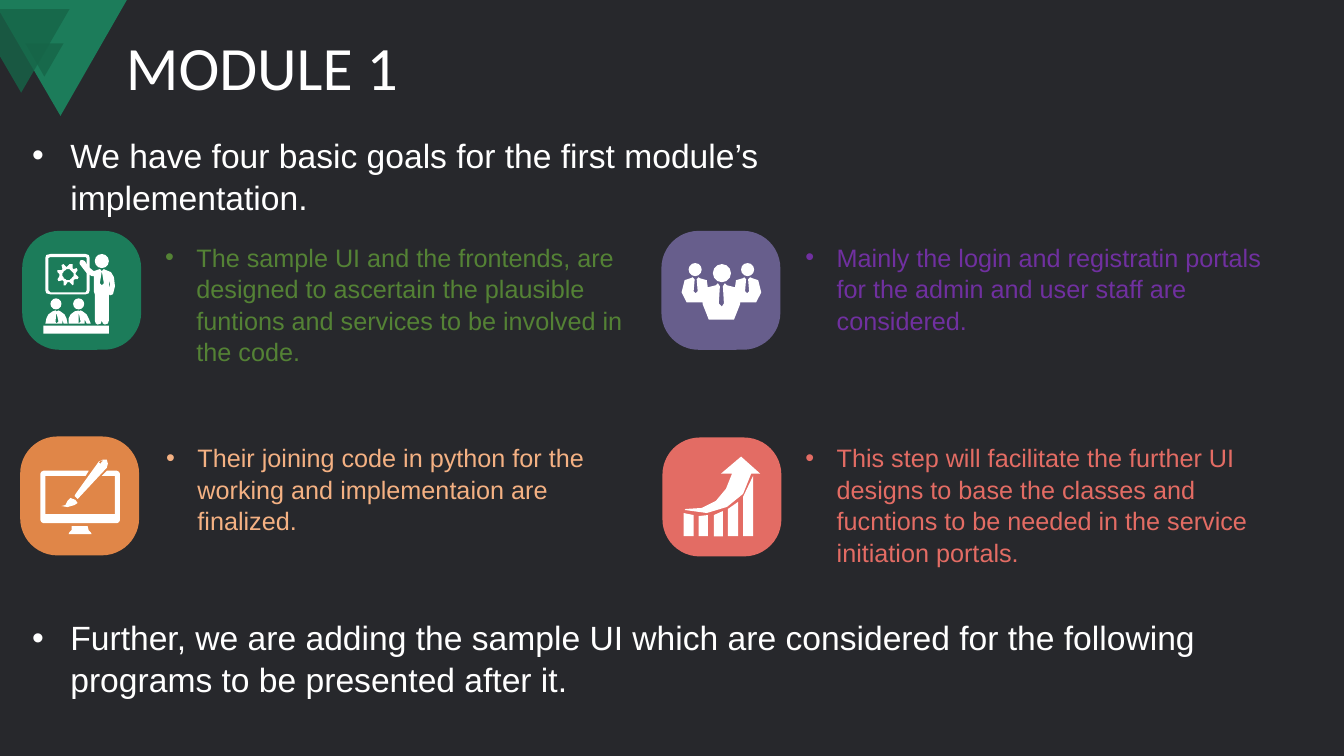
from math import cos, pi, sin

from lxml.etree import SubElement
from pptx import Presentation
from pptx.dml.color import RGBColor
from pptx.enum.shapes import MSO_SHAPE as SHAPE
from pptx.enum.text import MSO_ANCHOR as ANCHOR, MSO_AUTO_SIZE as AUTO
from pptx.oxml.ns import qn
from pptx.util import Emu, Inches, Pt

BACKGROUND, WHITE, GREEN, DARK_GREEN = "27282C", "FFFFFF", "1C7C5A", "166548"
UNIT = 9144
TILE = 118

TITLE = "MODULE 1"
BULLETS = [
    (22, 127, 984, 91, 24, WHITE, "We have four basic goals for the first module’s implementation."),
    (154, 234, 489, 161, 18, "548235", "The sample UI and the frontends, are designed to ascertain the plausible "
     "funtions and services to be involved in the code."),
    (789, 234, 501, 131, 18, "7030A0", "Mainly the login and registratin portals for the admin and user staff "
     "are considered."),
    (155, 433, 489, 131, 18, "F4B183", "Their joining code in python for the working and implementaion are finalized."),
    (789, 433, 503, 161, 18, "E36C64", "This step will facilitate the further UI designs to base the classes and "
     "fucntions to be needed in the service initiation portals."),
    (22, 606, 1290, 131, 24, WHITE, "Further, we are adding the sample UI which are considered for the following "
     "programs to be presented after it."),
]

CORNER = [(0, -2), (127, -2), (60, 115), (0, 12)]
CORNER_OVERLAY = [(0, 9), (69, 9), (21, 92), (0, 56)]

TEAM_HEADS = [(707, 262, 18), (683, 261, 13), (735, 261, 13)]
TEAM_HALF = [(728, 317), (734, 302), (734, 300), (750, 300), (755, 290), (752, 278), (746, 276), (744, 275),
             (742, 277), (743, 289), (741, 291), (739, 289), (740, 277), (738, 275), (737, 276), (730, 278),
             (729, 285), (721, 283), (719, 281), (717, 284), (718, 301), (715.5, 304)]
TEAM_AXIS = 715.5

GROWTH_ARROW = [(754, 470), (735, 453), (715, 470), (726, 470), (720, 485), (710, 497), (696, 504), (680, 505),
                (679, 506), (701, 509), (721, 503), (737, 490), (745, 470)]
BAR_TOPS = [(509, 511), (512, 511), (511, 507), (505, 498), (493, 472)]
BAR_LEFT, BAR_STEP, BAR_WIDTH, BAR_BOTTOM = 678, 14.8, 9.7, 532

MONITOR = [(116, 467), (106, 467), (101, 472), (114, 472), (114, 510), (45, 510), (45, 472), (85, 472), (88, 467),
           (43, 467), (41, 468), (40, 470), (40, 516), (41, 518), (43, 519), (116, 519), (118, 518), (119, 516),
           (119, 470), (118, 468)]
STAND = [(90, 528), (88, 526), (87, 522), (71, 522), (71, 526), (69, 528), (68, 530), (91, 530)]
BRISTLES = [(61, 502), (65, 501), (67, 497), (70, 494), (75, 496), (77, 499), (74, 501), (67, 503)]
HANDLE = [(106, 456), (102, 456), (98, 458), (75, 490), (74, 492), (77, 495), (79, 493), (106, 464), (107, 460)]
HANDLE_GLINT = [(100, 460), (98, 459), (100, 457), (103, 457), (101, 458)]

TEACHER = [(105, 268), (103, 267), (101, 269), (99, 267), (96, 268), (93, 269), (88, 265), (84, 259), (82, 258),
           (80, 258), (79, 260), (79, 262), (82, 266), (86, 271), (91, 274), (93, 274), (93, 289), (94, 292),
           (94, 318), (95, 321), (97, 322), (100, 321), (101, 318), (101, 295), (101, 318), (102, 321), (104, 322),
           (107, 321), (108, 318), (108, 292), (109, 293), (112, 292), (114.5, 284), (113, 275), (110, 270)]
TEACHER_TIE = [(101, 283), (99, 281), (101, 269), (103, 281)]
TEACHER_ARM_GAP = [(108, 286), (108, 278), (109, 282)]
BOARD = [(85, 292), (50, 292), (46, 291), (45, 288), (45, 256), (46, 253), (50, 252), (85, 252), (88, 253),
         (89, 256), (89, 288), (88, 291)]
BOARD_FACE = [(50, 255), (48, 256), (48, 288), (50, 290), (85, 290), (86, 288), (86, 256), (85, 255)]
STUDENT = [(50, 321), (50, 317), (50, 321), (56, 321), (55, 319), (56, 310), (58, 319), (56, 321), (62, 321),
           (62, 317), (63, 321), (67, 321), (66, 316), (64, 312), (60, 309), (58, 308), (56, 309), (55, 308),
           (52, 309), (48, 312), (46, 316), (45, 321)]
STUDENT_SHIFTS = [0, 22.5]
GEAR_CENTER, GEAR_TEETH = (67.3, 272.5), 8


def color(value):
    return RGBColor.from_string(value)


def paint(sp, fill, alpha=None):
    sp.shadow.inherit = False
    sp.fill.solid()
    sp.fill.fore_color.rgb = color(fill)
    sp.line.fill.background()
    if alpha:
        rgb = sp.fill._xPr.find(qn("a:solidFill"))[0]
        SubElement(rgb, qn("a:alpha")).set("val", str(alpha * 1000))
    return sp


def box(shapes, kind, x, y, w, h, fill=WHITE, alpha=None):
    return paint(shapes.add_shape(kind, *(Emu(int(v * UNIT)) for v in (x, y, w, h))), fill, alpha)


def outline(shapes, *contours, fill=WHITE, alpha=None):
    first, *holes = contours
    builder = shapes.build_freeform(*first[0], scale=UNIT)
    builder.add_line_segments(first[1:], close=True)
    for hole in holes:
        builder.move_to(*hole[0])
        builder.add_line_segments(hole[1:], close=True)
    return paint(builder.convert_to_shape(), fill, alpha)


def tile(shapes, x, y, fill):
    box(shapes, SHAPE.ROUNDED_RECTANGLE, x, y, TILE, TILE, fill).adjustments[0] = 0.313


def ring(radii):
    cx, cy = GEAR_CENTER
    turn = 2 * pi / len(radii)
    return [(cx + r * cos(i * turn), cy + r * sin(i * turn)) for i, r in enumerate(radii)]


def draw_team(shapes):
    tile(shapes, 656, 229, "675E8C")
    for x, y, size in TEAM_HEADS:
        box(shapes, SHAPE.OVAL, x, y, size, size)
    outline(shapes, TEAM_HALF + [(2 * TEAM_AXIS - x, y) for x, y in reversed(TEAM_HALF)])


def draw_growth(shapes):
    tile(shapes, 657, 434, "E36C64")
    outline(shapes, GROWTH_ARROW)
    for i, (left_top, right_top) in enumerate(BAR_TOPS):
        left = BAR_LEFT + i * BAR_STEP
        right = left + BAR_WIDTH
        outline(shapes, [(left, left_top), (right, right_top), (right, BAR_BOTTOM), (left, BAR_BOTTOM)])


def draw_design(shapes):
    tile(shapes, 20, 433, "E08648")
    for contours in ([STAND], [BRISTLES], [HANDLE, HANDLE_GLINT], [MONITOR]):
        outline(shapes, *contours)


def draw_training(shapes):
    tile(shapes, 22, 229, GREEN)
    outline(shapes, TEACHER, TEACHER_TIE, TEACHER_ARM_GAP)
    box(shapes, SHAPE.OVAL, 94, 252, 14, 14)
    outline(shapes, BOARD, BOARD_FACE)
    for dx in STUDENT_SHIFTS:
        box(shapes, SHAPE.OVAL, 50 + dx, 296, 11, 11)
        outline(shapes, [(x + dx, y) for x, y in STUDENT])
    box(shapes, SHAPE.RECTANGLE, 43, 323, 65, 8)
    outline(shapes, ring([8, 11, 11, 8] * GEAR_TEETH), ring([5.5] * 24))


def draw_corner(shapes):
    outline(shapes, CORNER, fill=GREEN)
    box(shapes, SHAPE.ISOSCELES_TRIANGLE, 25, 43, 38, 33, DARK_GREEN, 80).rotation = 180
    outline(shapes, CORNER_OVERLAY, fill=DARK_GREEN, alpha=80)


def write(s, x, y, w, h, text, size, font, fill, spacing):
    tf = s.shapes.add_textbox(*(Emu(v * UNIT) for v in (x, y, w, h))).text_frame
    tf.word_wrap = True
    p = tf.paragraphs[0]
    p.line_spacing = spacing
    r = p.add_run()
    r.text = text
    r.font.size, r.font.name = Pt(size), font
    r.font.color.rgb = color(fill)
    return tf


def add_bullet(tf, size):
    pPr = tf.paragraphs[0]._p.get_or_add_pPr()
    indent = Inches(0.38 if size == 24 else 0.31)
    pPr.set("marL", str(indent))
    pPr.set("indent", str(-indent))
    SubElement(pPr, qn("a:buFont")).set("typeface", "Arial")
    SubElement(pPr, qn("a:buChar")).set("char", "•")
    tf.auto_size = AUTO.SHAPE_TO_FIT_TEXT


def main():
    """Build the module goals slide."""
    prs = Presentation()
    prs.slide_width, prs.slide_height = Inches(13.33), Inches(7.5)
    s = prs.slides.add_slide(prs.slide_layouts[6])
    s.background.fill.solid()
    s.background.fill.fore_color.rgb = color(BACKGROUND)

    draw_corner(s.shapes.add_group_shape().shapes)
    write(s, 115, 24, 1150, 92, TITLE, 44, "Calibri", WHITE, 0.9).vertical_anchor = ANCHOR.MIDDLE
    for draw in (draw_team, draw_growth, draw_design, draw_training):
        draw(s.shapes.add_group_shape().shapes)
    for x, y, w, h, size, fill, text in BULLETS:
        add_bullet(write(s, x, y, w, h, text, size, "Arial", fill, 1.04), size)

    prs.save("out.pptx")


if __name__ == "__main__":
    main()
